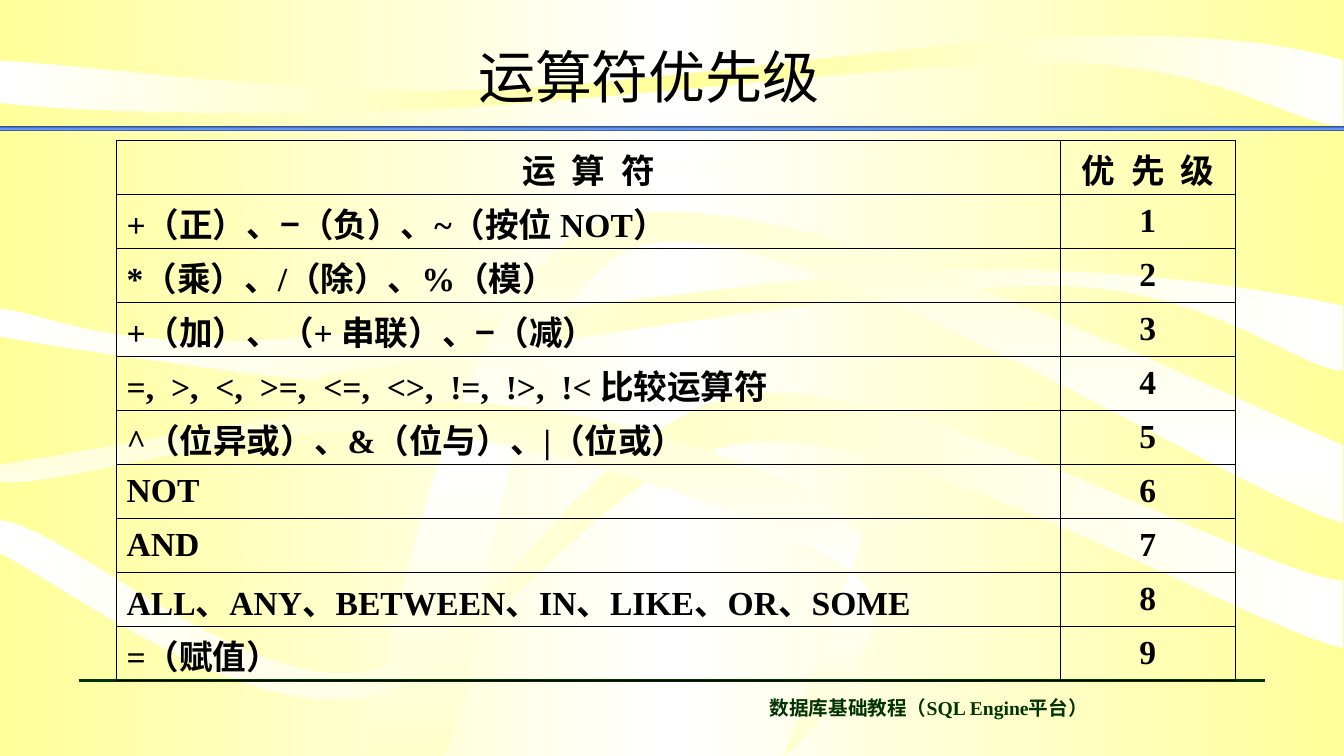
from copy import deepcopy
from itertools import groupby

from lxml import etree
from pptx import Presentation
from pptx.dml.color import RGBColor
from pptx.enum import shapes, text
from pptx.oxml.ns import qn
from pptx.util import Cm, Pt

YELLOW = RGBColor(0xFF, 0xFF, 0x99)
CREAM = RGBColor(0xFF, 0xFF, 0xCC)
WHITE = RGBColor(0xFF, 0xFF, 0xFF)
NAVY = RGBColor(0x2F, 0x47, 0x76)
SKY = RGBColor(0x66, 0x99, 0xFF)
GREEN = RGBColor(0x00, 0x33, 0x00)
BLACK = RGBColor(0x00, 0x00, 0x00)

WIDTH, HEIGHT = Cm(33.88), Cm(19.05)
UNIT = 2.54  # centimetres per wave unit
WIDE_SPACE = "_"  # stands for a space of double width

# Each wave: edge colour, middle colour, angle, then its outline:
# a pair is a straight step, six numbers are a Bezier curve
WAVES = [
    (YELLOW, WHITE, 0, [
        (0, 2.28), (2.38, 2.45, 4.54, 1.94, 6.11, 1.74),
        (6.11, 1.74, 7.56, 1.58, 7.81, 1.55), (9.54, 1.27, 12.22, 1.89, 13.33, 1.89),
        (13.33, 7.5), (0, 7.5), (0, 7.5, 0, 2.28, 0, 2.28)]),
    (WHITE, YELLOW, 0, [
        (0, 0.6), (0, 1.02), (0.68, 1.1, 2.34, 1.15, 4.1, 1.09),
        (5.87, 1.02, 9.05, 0.6, 10.59, 0.62), (12.12, 0.65, 12.88, 1.25, 13.33, 1.25),
        (13.33, 0.6), (12.87, 0.46, 12.01, 0.32, 10.56, 0.37),
        (9.1, 0.42, 6.36, 0.86, 4.6, 0.9), (2.84, 0.94, 0.96, 0.66, 0, 0.6)]),
    (WHITE, CREAM, 0, [
        (0, 3.06), (0, 3.34), (0.49, 3.43, 2.34, 3.7, 2.96, 3.75),
        (3.59, 3.8, 2.53, 3.79, 3.77, 3.64), (5, 3.48, 8.81, 2.82, 10.4, 2.83),
        (12, 2.83, 12.85, 3.65, 13.33, 3.68), (13.33, 3.03),
        (12.66, 2.9, 11.15, 2.63, 9.35, 2.69), (7.55, 2.74, 4.09, 3.32, 2.53, 3.38),
        (0.97, 3.44, 0.53, 3.13, 0, 3.06)]),
    (CREAM, WHITE, 90, [
        (3.61, 7.5), (3.88, 6.61, 4.43, 2.69, 6.05, 2.18),
        (7.67, 1.66, 12.12, 3.92, 13.33, 4.42), (13.33, 5.19),
        (12.18, 4.85, 7.88, 2.05, 6.39, 2.43), (4.9, 2.82, 4.88, 6.66, 4.41, 7.5),
        (3.61, 7.5)]),
    (WHITE, CREAM, 0, [
        (0, 5.16), (0, 5.49), (0.6, 5.78, 2.33, 7.11, 3.58, 6.92),
        (4.84, 6.74, 5.91, 4.46, 7.53, 4.38), (9.16, 4.29, 12.37, 6.2, 13.33, 6.43),
        (13.33, 5.76), (12.51, 5.72, 9.22, 3.77, 7.5, 3.91),
        (5.88, 4.06, 4.89, 6.46, 3.64, 6.67), (2.39, 6.87, 0.61, 5.2, 0, 5.16)]),
    (CREAM, WHITE, 90, [
        (0, 4.61), (0, 4.77), (0.35, 4.89, 2.77, 4.13, 4.19, 4.28),
        (5.61, 4.44, 7.9, 5.18, 8.5, 5.72), (9.1, 6.25, 7.77, 7.57, 7.78, 7.5),
        (8.56, 5.32), (8.07, 4.74, 6.31, 4.13, 4.88, 4.01),
        (3.46, 3.89, 1.02, 4.48, 0, 4.61)]),
]

HEADINGS = ("运_算_符", "优_先_级")
OPERATORS = [
    "+（正）、−（负）、~（按位 NOT）",
    "*（乘）、/（除）、%（模）",
    "+（加）、（+ 串联）、−（减）",
    "=,_>,_<,_>=,_<=,_<>,_!=,_!>,_!< 比较运算符",
    "^（位异或）、&（位与）、|（位或）",
    "NOT",
    "AND",
    "ALL、ANY、BETWEEN、IN、LIKE、OR、SOME",
    "=（赋值）",
]


def write(frame, words, size, color=BLACK, bold=False, align=text.PP_ALIGN.CENTER):
    """Fill a frame; minus signs are in Arial, wide spaces get extra spacing."""
    paragraph = frame.paragraphs[0]
    paragraph.alignment = align
    for special, letters in groupby(words, lambda c: c if c in ("−", WIDE_SPACE) else ""):
        run = paragraph.add_run()
        run.text = "".join(letters).replace(WIDE_SPACE, " ")
        run.font.name = "Arial" if special == "−" else "Times New Roman"
        run.font.size, run.font.bold = Pt(size), bold
        run.font.color.rgb = color
        if special == WIDE_SPACE:
            run.font._element.set("spc", str(size * 25))
    return paragraph


def blend(fill, element, edge, middle, angle):
    """Three-stop gradient: edge, middle, edge."""
    fill.gradient()
    fill.gradient_angle = angle
    stops = element.find(".//" + qn("a:gsLst"))
    centre = deepcopy(stops[0])
    centre.set("pos", "50000")
    stops.insert(1, centre)
    for stop, color in zip(fill.gradient_stops, (edge, middle, edge)):
        stop.color.rgb = color


def draw_wave(slide, left, top, outline):
    """Lay all points as straight steps, then join each curve's three into one."""
    first, *rest = [(left + Cm(step[i] * UNIT), top + Cm(step[i + 1] * UNIT))
                    for step in outline for i in range(0, len(step), 2)]
    builder = slide.shapes.build_freeform(*first)
    builder.add_line_segments(rest, close=True)
    wave = builder.convert_to_shape()
    lines = iter(wave._element.findall(".//" + qn("a:lnTo")))
    for step in outline[1:]:
        line = next(lines)
        if len(step) == 6:
            curve = etree.Element(qn("a:cubicBezTo"))
            line.addprevious(curve)
            for part in (line, next(lines), next(lines)):
                curve.append(part[0])
                part.getparent().remove(part)
    return wave


def add_backdrop(slide, left, top):
    blend(slide.background.fill, slide._element, YELLOW, WHITE, 0)
    for edge, middle, angle, outline in WAVES:
        wave = draw_wave(slide, left, top, outline)
        wave.shadow.inherit = False
        wave.line.fill.background()
        blend(wave.fill, wave._element, edge, middle, angle)


def add_footer(slide, left, top, width):
    rule = slide.shapes.add_connector(shapes.MSO_CONNECTOR.STRAIGHT, left, top, left + width, top)
    rule.line.color.rgb, rule.line.width = GREEN, Pt(2)
    etree.SubElement(rule._element.spPr, qn("a:effectLst"))
    course = slide.shapes.add_textbox(left + Cm(12.63), top + Cm(0.27), Cm(17.6), Cm(1.07))
    course.text_frame.word_wrap = True
    write(course.text_frame, "数据库基础教程（SQL Engine平台）", 14, color=GREEN, bold=True)


def add_heading(slide, left, top, width, height):
    title = slide.shapes.title
    slide.shapes._spTree.append(title._element)  # bring in front of the waves
    title.left, title.top = left + Cm(5.54), top
    title.width, title.height = Cm(21.64), Cm(2.11)
    title.text_frame.vertical_anchor = text.MSO_ANCHOR.BOTTOM
    write(title.text_frame, "运算符优先级", 40.7).line_spacing = 0.9
    # Blue bar under the title
    thickness = Cm(0.13)
    bar = slide.shapes.add_shape(shapes.MSO_SHAPE.RECTANGLE, left, top + height - thickness,
                                 width, thickness)
    bar.shadow.inherit = False
    bar.line.fill.background()
    blend(bar.fill, bar._element, NAVY, SKY, 90)


def format_cell(cell, words):
    cell.vertical_anchor = text.MSO_ANCHOR.MIDDLE
    cell.margin_top = 0 if words.isascii() else Cm(0.1)
    cell.margin_bottom = 0
    properties = cell._tc.get_or_add_tcPr()
    for side in ("a:lnL", "a:lnR", "a:lnT", "a:lnB"):
        border = etree.SubElement(properties, qn(side), w=str(Pt(0.45)))
        solid = etree.SubElement(border, qn("a:solidFill"))
        etree.SubElement(solid, qn("a:srgbClr"), val=str(BLACK))
    cell.fill.background()


def add_precedence_table(slide, left, top, width, height):
    rows = [HEADINGS] + [(operator, str(rank)) for rank, operator in enumerate(OPERATORS, 1)]
    table = slide.shapes.add_table(len(rows), 2, left, top, width, height).table
    table.first_row = table.horz_banding = False
    table.columns[1].width = Cm(4.39)
    table.columns[0].width = width - Cm(4.39)
    for r, row in enumerate(rows):
        for c, words in enumerate(row):
            cell = table.cell(r, c)
            format_cell(cell, words)
            centred = r == 0 or c == 1
            write(cell.text_frame, words, 24, bold=True,
                  align=text.PP_ALIGN.CENTER if centred else text.PP_ALIGN.LEFT)


def main():
    deck = Presentation()
    deck.slide_width, deck.slide_height = WIDTH, HEIGHT
    slide = deck.slides.add_slide(deck.slide_layouts[5])
    add_backdrop(slide, 0, 0)
    add_footer(slide, Cm(1.98), Cm(17.15), Cm(29.92))
    add_heading(slide, 0, Cm(0.81), WIDTH, Cm(2.5))
    add_precedence_table(slide, Cm(2.94), Cm(3.53), Cm(28.19), Cm(13.61))
    deck.save("out.pptx")


if __name__ == "__main__":
    main()
